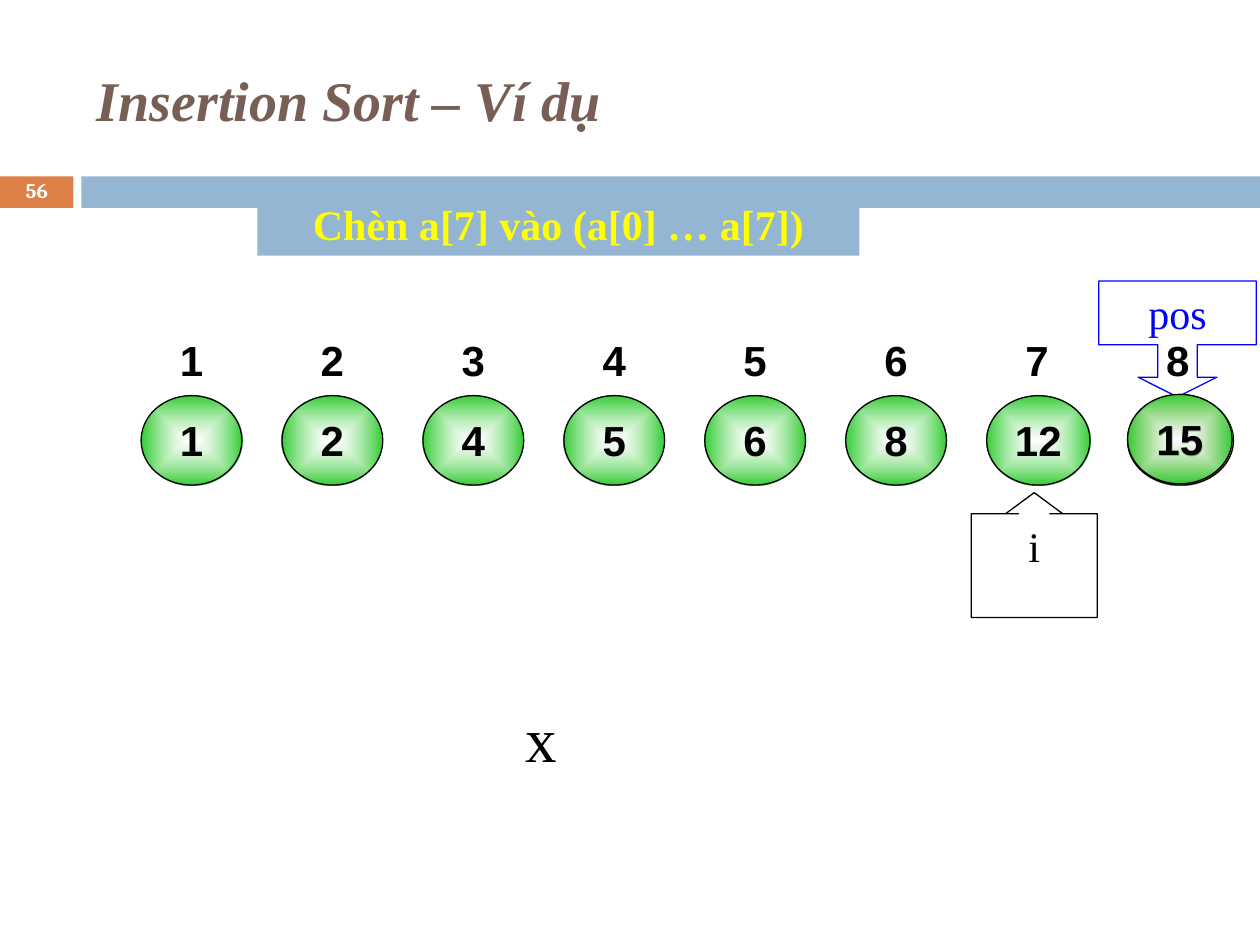
"""Build the insertion sort example slide."""
import lxml.etree
import pptx
import pptx.dml.color
import pptx.enum.shapes
import pptx.enum.text
import pptx.oxml
import pptx.oxml.ns
import pptx.util

Pt = pptx.util.Pt
PRESET = pptx.enum.shapes.MSO_SHAPE
ALIGN = pptx.enum.text.PP_ALIGN
ANCHOR = pptx.enum.text.MSO_ANCHOR

SERIF, SANS = "Times New Roman", "Arial"
BLUE, ORANGE, GREEN = "94B6D2", "DD8047", "33CC33"
FIRST_LEFT, COLUMN_STEP = 80.64, 80.53
CIRCLE_WIDTH, CIRCLE_HEIGHT = 57.6, 51.12
VALUES = [1, 2, 4, 5, 6, 8, 12, 15]
CIRCLE_WIDTHS = [CIRCLE_WIDTH] * 6 + [59.04, 60.48]


def rgb(color):
    """Return the colour for a hex string."""
    return pptx.dml.color.RGBColor.from_string(color)


def write(shape, text, size, font, color, bold=False, italic=False,
          align=ALIGN.CENTER, anchor=ANCHOR.TOP, wrap=True):
    """Put one formatted paragraph into a shape and return the paragraph."""
    frame = shape.text_frame
    frame.text = text
    frame.word_wrap = wrap
    frame.vertical_anchor = anchor
    paragraph = frame.paragraphs[0]
    paragraph.alignment = align
    for run in paragraph.runs:
        run.font.size = Pt(size)
        run.font.name = font
        run.font.bold = bold
        run.font.italic = italic
        run.font.color.rgb = rgb(color)
    return paragraph


def add_text(slide, text, left, top, width, height, size, font, color, **style):
    """Add a text box and return its paragraph."""
    box = slide.shapes.add_textbox(Pt(left), Pt(top), Pt(width), Pt(height))
    return write(box, text, size, font, color, **style)


def add_preset(shapes, preset, left, top, width, height, fill=None, line=None):
    """Add a preset shape with an optional fill and outline."""
    shape = shapes.add_shape(preset, Pt(left), Pt(top), Pt(width), Pt(height))
    shape.shadow.inherit = False
    if fill:
        shape.fill.solid()
        shape.fill.fore_color.rgb = rgb(fill)
    else:
        shape.fill.background()
    if line:
        shape.line.color.rgb = rgb(line)
        shape.line.width = Pt(0.75)
    else:
        shape.line.fill.background()
    return shape


def set_radial_fill(shape, edge):
    """Fill a shape from translucent white at the centre to the edge colour."""
    gradient = pptx.oxml.parse_xml(
        f'<a:gradFill {pptx.oxml.ns.nsdecls("a")} rotWithShape="1"><a:gsLst>'
        '<a:gs pos="0"><a:srgbClr val="FFFFFF"><a:alpha val="60000"/></a:srgbClr></a:gs>'
        f'<a:gs pos="100000"><a:srgbClr val="{edge}"/></a:gs></a:gsLst>'
        '<a:path path="rect"><a:fillToRect l="50000" t="50000" r="50000" b="50000"/>'
        '</a:path></a:gradFill>')
    properties = shape.element.spPr
    blank = properties.find(pptx.oxml.ns.qn("a:noFill"))
    properties.replace(blank, gradient)


def add_circle(slide, value, left, top, width, edge=GREEN):
    """Add an array element as a shaded circle."""
    circle = add_preset(slide.shapes, PRESET.OVAL, left, top, width,
                        CIRCLE_HEIGHT, line="000000")
    set_radial_fill(circle, edge)
    write(circle, str(value), 24, SANS, "000000", bold=True, wrap=False)


def add_callout(slide, preset, text, bounds, adjustments, color):
    """Add an arrow callout that marks an index."""
    callout = add_preset(slide.shapes, preset, *bounds, line=color)
    for index, adjustment in enumerate(adjustments):
        callout.adjustments[index] = adjustment
    write(callout, text, 24, SERIF, color)


def add_header(slide):
    """Add the title, the two bars and the slide number."""
    add_preset(slide.shapes, PRESET.RECTANGLE, 0, 100.8, 42, 18, fill=ORANGE)
    add_preset(slide.shapes, PRESET.RECTANGLE, 46.5, 100.8, 673.5, 18, fill=BLUE)
    add_text(slide, "Insertion Sort – Ví dụ", 48.24, 18, 642.24, 77.76, 32, SERIF,
             "775F55", bold=True, italic=True, align=ALIGN.LEFT, anchor=ANCHOR.MIDDLE)
    number = add_text(slide, "56", 0, 100, 42, 19.44, 12, "Cambria", "FFFFFF",
                      bold=True, anchor=ANCHOR.MIDDLE)
    number.line_spacing = 0.8


def add_position_labels(slide, lefts):
    """Add the grouped position numbers above the circles."""
    group = slide.shapes.add_group_shape()
    for position, left in enumerate(lefts, start=1):
        label = add_preset(group.shapes, PRESET.OVAL, left, 180, CIRCLE_WIDTH, CIRCLE_HEIGHT)
        write(label, str(position), 24, SANS, "000000", bold=True, wrap=False)


def main():
    """Build and save the slide."""
    presentation = pptx.Presentation()
    presentation.slide_width, presentation.slide_height = Pt(720), Pt(540)
    slide = presentation.slides.add_slide(presentation.slide_layouts[6])
    add_header(slide)

    lefts = [FIRST_LEFT + COLUMN_STEP * index for index in range(len(VALUES))]
    for value, left, width in zip(VALUES, lefts, CIRCLE_WIDTHS):
        add_circle(slide, value, left, 226.08, width, ORANGE if value == 15 else GREEN)
    add_callout(slide, PRESET.UP_ARROW_CALLOUT, "i", (555, 281.5, 72, 71.28),
                (0.25, 0.23, 0.17, 0.83), "000000")
    add_text(slide, "x", 282.24, 396, 54, 50.4, 36, SERIF, "000000")
    add_position_labels(slide, lefts)
    add_callout(slide, PRESET.DOWN_ARROW_CALLOUT, "pos", (627.84, 160.56, 90, 66.24),
                (0.34, 0.34, 0.17, 0.55), "0000FF")

    heading = add_preset(slide.shapes, PRESET.RECTANGLE, 147, 110.16, 344.16, 36, fill=BLUE)
    write(heading, "Chèn a[7] vào (a[0] … a[7])", 24, SERIF, "FFFF00", bold=True)
    add_circle(slide, VALUES[-1], lefts[-1], 225.36, 59.76)
    presentation.save("out.pptx")


if __name__ == "__main__":
    main()
